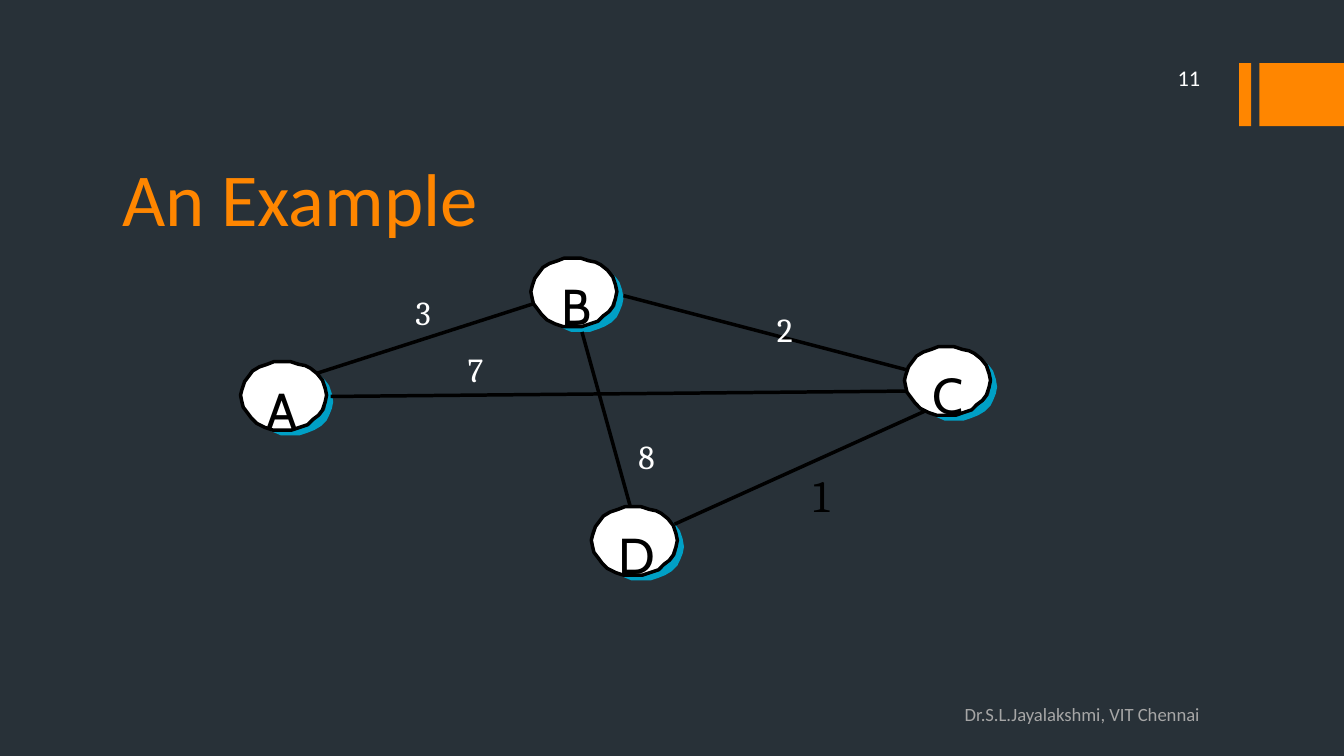
from pptx import Presentation, util as u
from pptx.dml.color import RGBColor
from pptx.enum import shapes, text
from pptx.oxml.ns import qn
from lxml import etree

PX = 9144  # 100 px to the inch
NAVY = RGBColor(0x28, 0x31, 0x38)
ORANGE = RGBColor(0xFF, 0x86, 0x00)
TEAL = RGBColor(0x00, 0xA0, 0xC6)
GREY = RGBColor(0xA6, 0xA6, 0xA6)
WHITE = RGBColor(0xFF, 0xFF, 0xFF)
BLACK = RGBColor(0, 0, 0)
STROKE = u.Pt(1.88)

# Outlines in px from the top left corner of a node
OVAL = [(52, 5), (48, 3), (43, 2), (37, 0), (32, 0), (25, 0), (20, 2), (14, 4),
        (9, 7), (6, 11), (3, 15), (1, 21), (0, 25), (1, 30), (2, 34), (5, 38),
        (8, 42), (12, 46), (18, 49), (24, 51), (32, 51), (38, 51), (44, 49),
        (50, 47), (54, 43), (58, 40), (61, 36), (63, 30), (64, 25), (63, 20),
        (61, 14), (57, 9)]
SHADE = [(64, 26), (64, 21), (63, 17), (61, 13), (58, 9), (63, 14), (66, 18),
         (68, 24), (69, 30), (68, 35), (66, 40), (64, 44), (60, 48), (55, 51),
         (50, 53), (44, 55), (37, 55), (30, 55), (23, 52), (18, 49), (13, 46),
         (18, 48), (23, 50), (27, 51), (33, 52), (39, 51), (46, 49), (51, 47),
         (55, 44), (60, 40), (63, 36), (64, 31)]

# Name, left, top, left of the letter
NODES = [("D", 440, 377, 460), ("A", 179, 269, 198),
         ("B", 395, 192, 418), ("C", 673, 258, 694)]
EDGES = [(235, 278, 397, 226), (464, 220, 674, 275), (246, 295, 674, 291),
         (433, 247, 469, 377), (688, 306, 502, 390)]
# Weight, left, top, size, colour
COSTS = [("3", 309, 217, 18, WHITE), ("1", 605, 348, 24, BLACK),
         ("8", 475, 324, 18, WHITE), ("7", 348, 260, 18, WHITE),
         ("2", 578, 230, 18, WHITE)]


def write(words, x, y, w, h, box=None, size=18, font="Calibri", color=WHITE,
          align=text.PP_ALIGN.LEFT, anchor=text.MSO_ANCHOR.TOP,
          inset=(0, 0, 0, 0), wrap=False):
    """Put words in the given box, or in a new text box."""
    box = box or slide.shapes.add_textbox(0, 0, 0, 0)
    box.left, box.top, box.width, box.height = x * PX, y * PX, w * PX, h * PX
    frame = box.text_frame
    frame.word_wrap = wrap
    frame.auto_size = text.MSO_AUTO_SIZE.NONE
    frame.vertical_anchor = anchor
    (frame.margin_left, frame.margin_top,
     frame.margin_right, frame.margin_bottom) = [n * PX for n in inset]
    para = frame.paragraphs[0]
    para.alignment = align
    run = para.add_run()
    run.text = words
    run.font.size = u.Pt(size)
    run.font.name = font
    run.font.color.rgb = color


def outline(points, x, y, fill, line=None):
    """Draw a closed freeform moved to x, y."""
    moved = [(x + dx, y + dy) for dx, dy in points]
    pen = slide.shapes.build_freeform(*moved[0], scale=PX)
    pen.add_line_segments(moved[1:], close=True)
    form = pen.convert_to_shape()
    form.shadow.inherit = False
    form.fill.solid()
    form.fill.fore_color.rgb = fill
    if line is None:
        form.line.fill.background()
    else:
        form.line.color.rgb = line
        form.line.width = STROKE


deck = Presentation()
deck.slide_width, deck.slide_height = u.Inches(10), u.Inches(5.625)
slide = deck.slides.add_slide(deck.slide_layouts[5])
slide.background.fill.solid()
slide.background.fill.fore_color.rgb = NAVY

# Corner bars
for left, width in [(922, 9), (937, 63)]:
    bar = slide.shapes.add_shape(shapes.MSO_SHAPE.RECTANGLE,
                                 left * PX, 47 * PX, width * PX, 47 * PX)
    bar.shadow.inherit = False
    bar.fill.solid()
    bar.fill.fore_color.rgb = ORANGE
    bar.line.fill.background()

write("An Example", 81, 90, 800, 95, box=slide.shapes.title, size=40,
      color=ORANGE, anchor=text.MSO_ANCHOR.BOTTOM, inset=(10, 5, 10, 5),
      wrap=True)

# Graph, from back to front
for name, x, y, left in NODES:
    outline(SHADE, x, y, TEAL)

for edge in EDGES:
    link = slide.shapes.add_connector(shapes.MSO_CONNECTOR.STRAIGHT,
                                      *[n * PX for n in edge])
    link.line.color.rgb = BLACK
    link.line.width = STROKE
    etree.SubElement(link._element.spPr, qn("a:effectLst"))

for name, x, y, left in NODES:
    outline(OVAL, x, y, WHITE, line=BLACK)
    write(name, left, y + 13, 27, 45, size=27, font="Cabin", color=BLACK)

for cost, x, y, size, color in COSTS:
    write(cost, x, y, 15, 30, size=size, font="Cambria", color=color)

# Page number and footer
write("11", 800, 45, 103, 25, size=12, align=text.PP_ALIGN.RIGHT,
      anchor=text.MSO_ANCHOR.MIDDLE, inset=(10, 5, 10, 5), wrap=True)
write("Dr.S.L.Jayalakshmi, VIT Chennai", 708, 523, 246, 25, size=10,
      color=GREY, inset=(10, 0, 10, 5), wrap=True)

deck.save("out.pptx")
